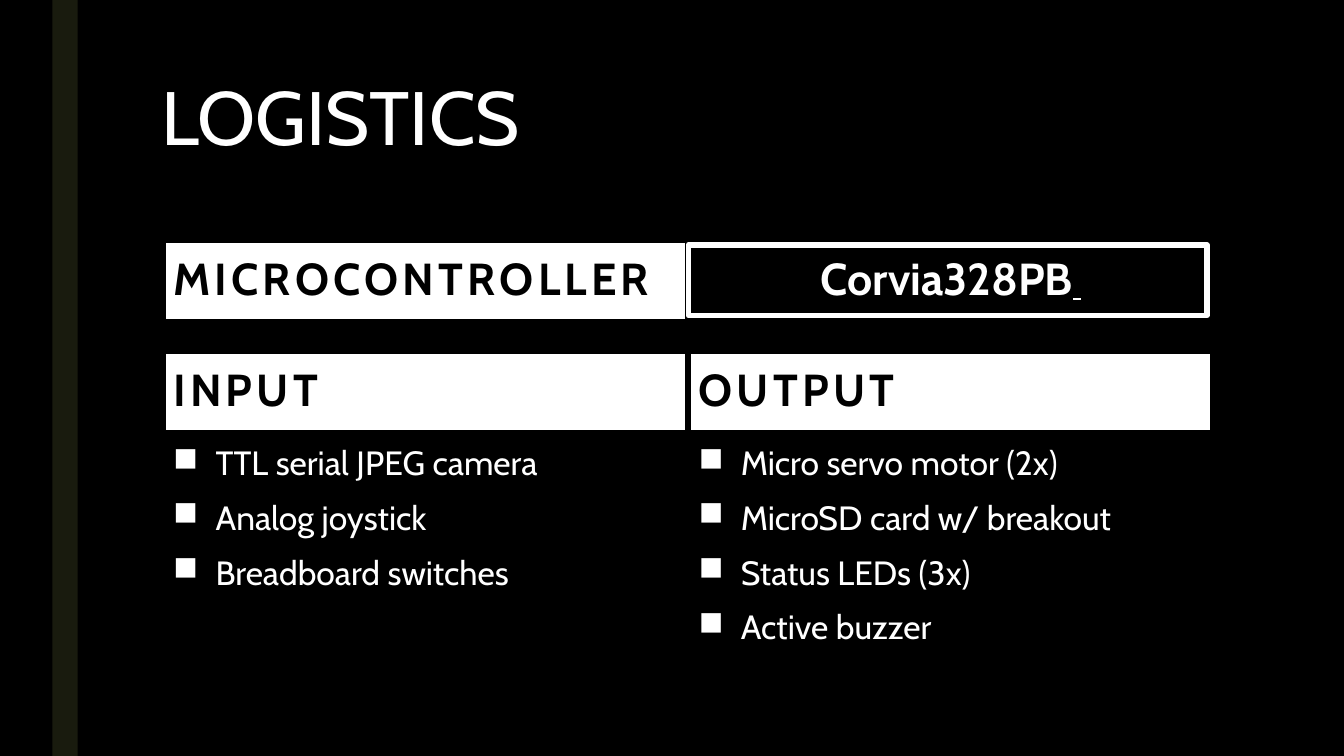
"""Build the logistics slide: microcontroller, inputs and outputs."""
from dataclasses import dataclass

from lxml.etree import SubElement
from pptx import Presentation
from pptx.dml.color import RGBColor
from pptx.enum.shapes import MSO_SHAPE as Shape
from pptx.enum.text import MSO_ANCHOR as Anchor, PP_ALIGN as Align
from pptx.oxml.ns import qn
from pptx.util import Inches, Pt


@dataclass(frozen=True)
class Theme:
    font: str = "Cabin"
    black: RGBColor = RGBColor(0, 0, 0)
    white: RGBColor = RGBColor(255, 255, 255)
    stripe: RGBColor = RGBColor(0x19, 0x1B, 0x0E)
    title: int = 54
    heading: int = 32
    body: int = 24
    border: int = 4


theme = Theme()


def add_text(para, text, size, color=theme.white, bold=False, underline=False,
             tracking=0, bullet=None, align=Align.LEFT, line=0.94, before=10, after=2):
    para.alignment = align
    para.line_spacing = line
    para.space_before, para.space_after = Pt(before), Pt(after)
    span = para.add_run()
    span.text = text
    font = span.font
    font.name, font.size, font.color.rgb = theme.font, Pt(size), color
    font.bold, font.underline = bold, underline
    if tracking:
        font._element.set("spc", str(tracking * 100))
    if bullet:
        props = para._p.get_or_add_pPr()
        props.set("marL", str(Inches(0.42)))
        props.set("indent", str(Inches(-0.42)))
        SubElement(props, qn("a:buChar")).set("char", bullet)


def add_box(left, top, width, height, fill=None, border=None, anchor=Anchor.TOP):
    area = [Inches(value) for value in (left, top, width, height)]
    if fill is None:
        box = slide.shapes.add_textbox(*area)
    else:
        box = slide.shapes.add_shape(Shape.RECTANGLE, *area)
        box.shadow.inherit = False
        box.fill.solid()
        box.fill.fore_color.rgb = fill
        if border is None:
            box.line.fill.background()
        else:
            box.line.color.rgb = border
            box.line.width = Pt(theme.border)
    box.text_frame.word_wrap = True
    box.text_frame.vertical_anchor = anchor
    return box.text_frame


deck = Presentation()
deck.slide_width, deck.slide_height = Inches(13.33), Inches(7.5)
slide = deck.slides.add_slide(deck.slide_layouts[6])
slide.background.fill.solid()
slide.background.fill.fore_color.rgb = theme.black

add_box(0.52, 0, 0.25, 7.5, fill=theme.stripe)
title = add_box(1.5, 0.75, 10.5, 1.62)
add_text(title.paragraphs[0], "LOGISTICS", theme.title, line=0.89, before=0, after=0)

left_column, right_column = 1.62, 6.83
headings = [
    ("MICROCONTROLLER", left_column, 2.38),
    ("INPUT", left_column, 3.48),
    ("OUTPUT", right_column, 3.48),
]
for text, left, top in headings:
    heading = add_box(left, top, 5.2, 0.81, theme.white, theme.black, Anchor.MIDDLE)
    add_text(heading.paragraphs[0], text, theme.heading, theme.black, bold=True, tracking=3)

parts = [
    (left_column, 5.2, ["TTL serial JPEG camera", "Analog joystick", "Breadboard switches"]),
    (right_column, 5.14, ["Micro servo motor (2x)", "MicroSD card w/ breakout",
                          "Status LEDs (3x)", "Active buzzer"]),
]
for left, width, items in parts:
    frame = add_box(left, 4.37, width, 2.49)
    for index, item in enumerate(items):
        para = frame.add_paragraph() if index else frame.paragraphs[0]
        add_text(para, item, theme.body, bullet="■")

add_box(right_column, 2.43, 5.14, 0.7, theme.black, theme.white)
chip = add_box(6.88, 2.39, 5.1, 0.78, anchor=Anchor.MIDDLE).paragraphs[0]
add_text(chip, "Corvia328PB", theme.heading, bold=True, align=Align.CENTER)
add_text(chip, " ", theme.body, underline=True, align=Align.CENTER)

deck.save("out.pptx")
